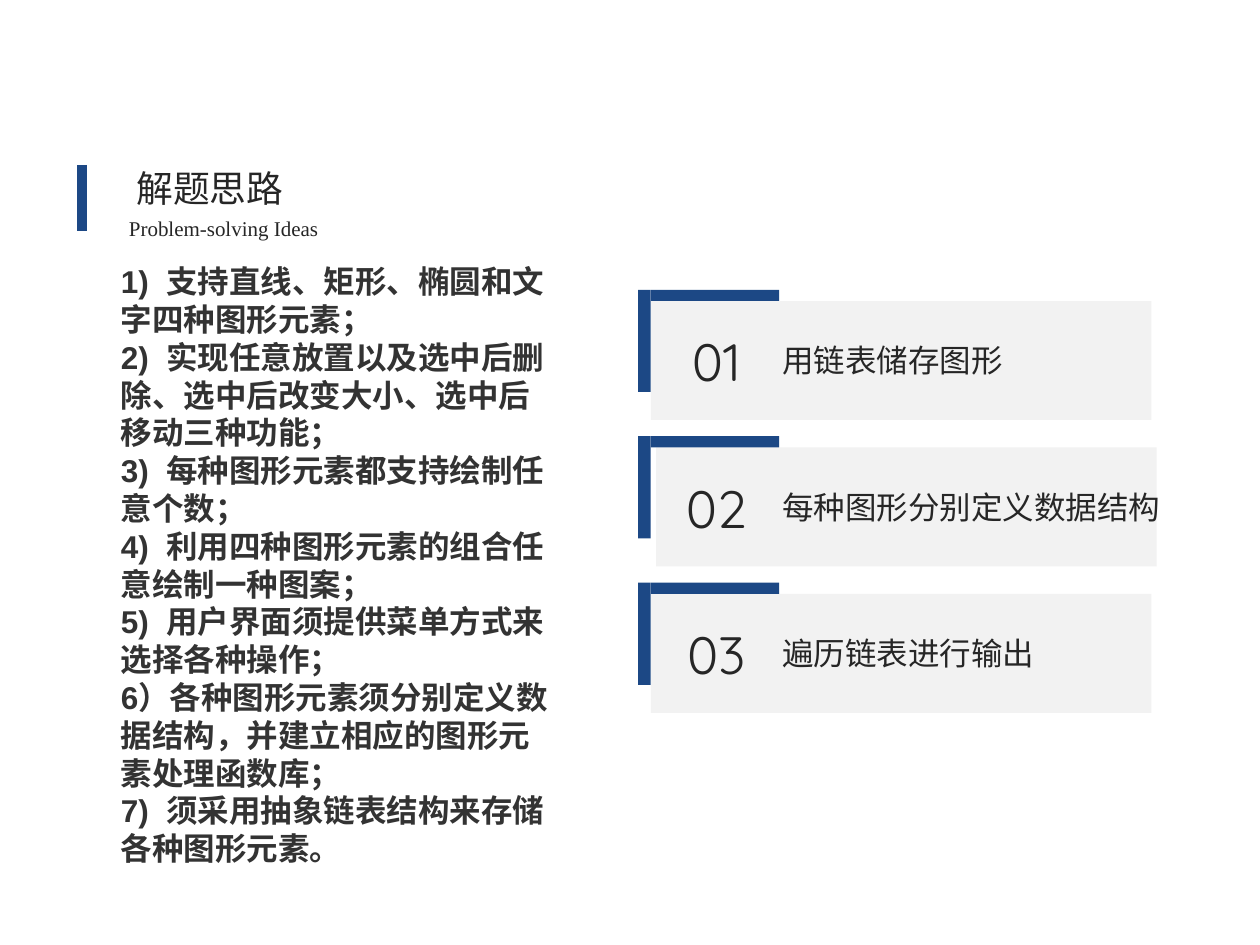
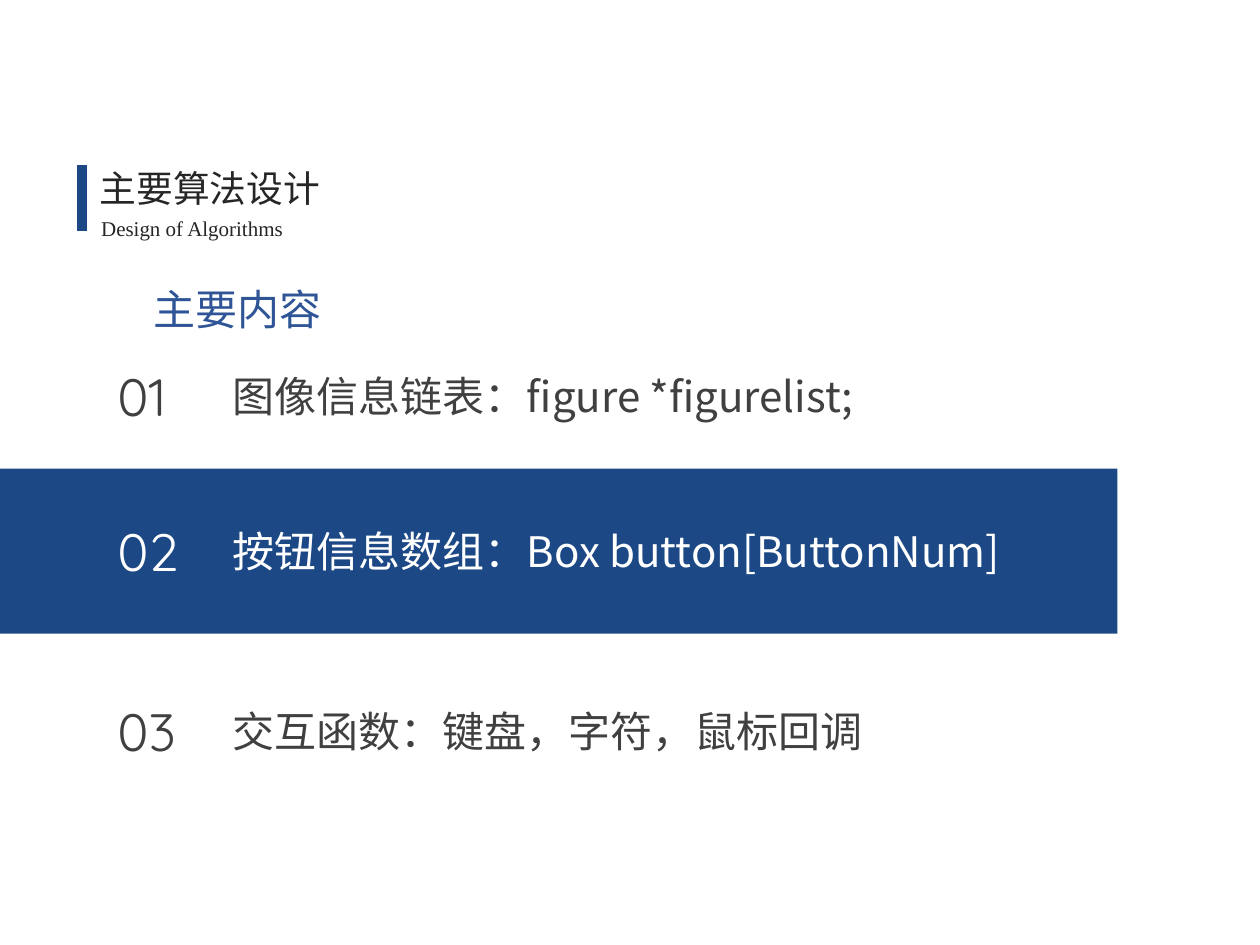
from pptx import Presentation
from pptx.dml.color import RGBColor
from pptx.enum.shapes import MSO_CONNECTOR, MSO_SHAPE
from pptx.enum.text import MSO_ANCHOR, MSO_AUTO_SIZE, PP_ALIGN
from pptx.oxml.ns import qn
from pptx.util import Pt
from lxml.etree import SubElement

BLUE = RGBColor(0x1C, 0x48, 0x85)
ROYAL = RGBColor(0x2F, 0x55, 0x97)
PALE = RGBColor(0xF2, 0xF2, 0xF2)
WHITE = RGBColor(0xFF, 0xFF, 0xFF)
BLACK = RGBColor(0x26, 0x26, 0x26)
DARK = RGBColor(0x33, 0x33, 0x33)
GREY = RGBColor(0x40, 0x40, 0x40)
HAN, DIGIT, SERIF, SANS = "Noto Sans CJK SC", "Quicksand", "Times New Roman", "Arial"
LEFT, MID, JUST = PP_ALIGN.LEFT, PP_ALIGN.CENTER, PP_ALIGN.JUSTIFY

GOALS = [
    "1)  支持直线、矩形、椭圆和文字四种图形元素；",
    "2)  实现任意放置以及选中后删除、选中后改变大小、选中后移动三种功能；",
    "3)  每种图形元素都支持绘制任意个数；",
    "4)  利用四种图形元素的组合任意绘制一种图案；",
    "5)  用户界面须提供菜单方式来选择各种操作；",
    "6）各种图形元素须分别定义数据结构，并建立相应的图形元素处理函数库；",
    "7)  须采用抽象链表结构来存储各种图形元素。",
]
# label, left edge of the card
CARDS = [("用链表储存图形", 372), ("每种图形分别定义数据结构", 375), ("遍历链表进行输出", 372)]
# text, top, colour
PARTS = [
    ("图像信息链表：figure *figurelist;", 208, GREY),
    ("按钮信息数组：Box button[ButtonNum]", 296.6, WHITE),
    ("交互函数：键盘，字符，鼠标回调", 399.6, GREY),
]
CARD_TOP, CARD_STEP = 165.6, 83.7


def write(shape, lines, name, size, color, align=LEFT, bold=False, indent=0):
    """Fill a text shape with plain, unbulleted paragraphs in one style."""
    frame = shape.text_frame
    frame.text = "\n".join(lines)
    frame.word_wrap = True
    frame.auto_size = MSO_AUTO_SIZE.NONE
    frame.vertical_anchor = MSO_ANCHOR.TOP
    for para in frame.paragraphs:
        para.alignment = align
        para.space_before = Pt(0)
        font = para.font
        font.name, font.size, font.bold = name, Pt(size), bold
        font.color.rgb = color
        SubElement(font._element, qn("a:ea")).set("typeface", name)
        props = para._p.get_or_add_pPr()
        props.set("marL", str(Pt(indent)))
        props.set("indent", "0")
        font._element.addprevious(SubElement(props, qn("a:buNone")))


def place(shape, left, top, width, height):
    shape.left, shape.top = Pt(left), Pt(top)
    shape.width, shape.height = Pt(width), Pt(height)


def label(slide, text, box, *style):
    write(slide.shapes.add_textbox(*map(Pt, box)), [text], *style)


def block(shapes, color, *box):
    rect = shapes.add_shape(MSO_SHAPE.RECTANGLE, *map(Pt, box))
    rect.fill.solid()
    rect.fill.fore_color.rgb = color
    rect.line.fill.background()
    rect.shadow.inherit = False


def start(deck, layout, title, sub, left):
    """Add a slide with its title, English subtitle and blue side bar."""
    slide = deck.slides.add_slide(deck.slide_layouts[layout])
    head = slide.shapes.title
    place(head, 36, 91.4, 167.8, 32.4)
    write(head, [title], HAN, 21, BLACK, MID)
    label(slide, sub, (left, 119.5, 162, 21.6), SERIF, 12, BLACK, MID)
    bar = slide.shapes.add_connector(
        MSO_CONNECTOR.STRAIGHT, Pt(46.8), Pt(94.3), Pt(46.8), Pt(131.8))
    bar.line.color.rgb = BLUE
    bar.line.width = Pt(6)
    SubElement(bar._element.spPr, qn("a:effectLst"))
    return slide


def ideas(deck):
    slide = start(deck, 1, "解题思路", "Problem-solving Ideas", 46.8)
    body = slide.placeholders[1]
    place(body, 43.9, 146.2, 278.6, 386)
    write(body, GOALS, SANS, 18, DARK, LEFT, True, 18)
    for i, (text, left) in enumerate(CARDS):
        top = CARD_TOP + i * CARD_STEP
        block(slide.shapes, PALE, left, top + 6.4, 286, 68)
        edge = slide.shapes.add_group_shape().shapes
        block(edge, BLUE, 364.7, top, 7.2, 58.4)
        block(edge, BLUE, 372, top, 73.3, 6.4)
        label(slide, f"{i + 1:02}", (378.7, top + 18.9, 61.2, 43.9), DIGIT, 30, BLACK, MID)
        label(slide, text, (439.9, top + 25.9, 232.6, 28.8), HAN, 18, BLACK, JUST)


def design(deck):
    slide = start(deck, 5, "主要算法设计", "Design of Algorithms", 28.8)
    block(slide.shapes, BLUE, 0, 267.8, 638.6, 94.3)
    label(slide, "主要内容", (11.5, 158.4, 248.4, 36), HAN, 24, ROYAL, MID)
    for i, (text, top, color) in enumerate(PARTS, 1):
        label(slide, f"{i:02}", (60, top - 3.6, 51.1, 43.9), DIGIT, 30, color)
        label(slide, text, (126, top, 522, 36), HAN, 24, color)


def main():
    deck = Presentation()
    deck.slide_width, deck.slide_height = Pt(720), Pt(540)
    ideas(deck)
    design(deck)
    deck.save("out.pptx")


if __name__ == "__main__":
    main()
